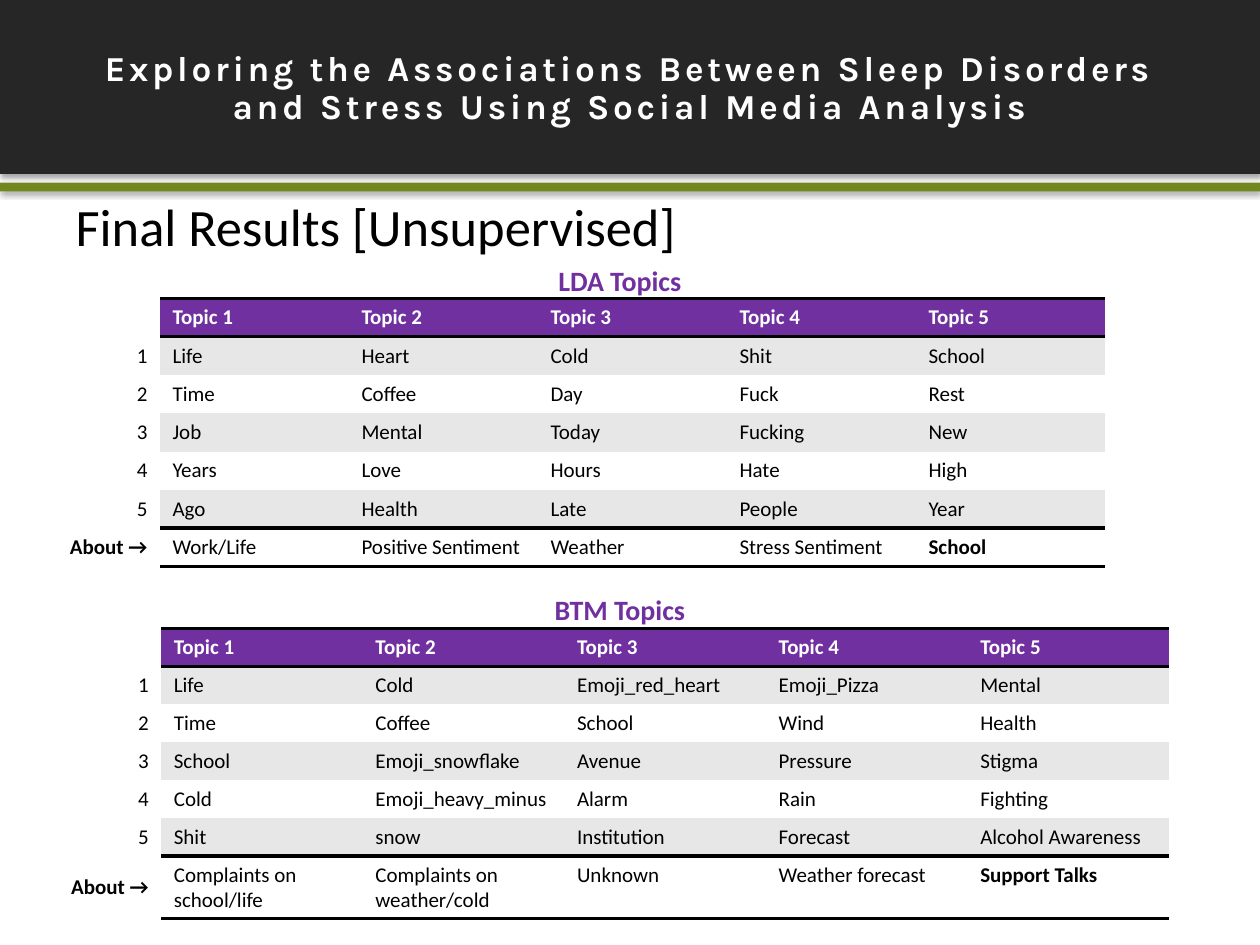
from dataclasses import dataclass

from lxml.etree import SubElement
from pptx import Presentation
from pptx.dml.color import RGBColor
from pptx.enum.shapes import MSO_SHAPE
from pptx.enum.text import MSO_ANCHOR, MSO_AUTO_SIZE, PP_ALIGN
from pptx.oxml.ns import qn
from pptx.util import Emu, Inches, Pt


@dataclass(frozen=True)
class Theme:
    """Colours, fonts and type sizes of the slide."""
    dark: str = "262626"
    green: str = "718820"
    purple: str = "7030A0"
    stripe: str = "E7E7E7"
    white: str = "FFFFFF"
    black: str = "000000"
    title_font: str = "Karla"
    text_font: str = "Calibri"
    title_size: float = 20
    heading_size: float = 30
    caption_size: float = 16
    cell_size: float = 12
    outer_rule: float = 2
    about_rule: float = 2.25


THEME = Theme()
SLIDE_WIDTH, SLIDE_HEIGHT = Inches(10), Inches(7.5)
ROW_HEIGHT = Inches(0.3)
TOPICS = [f"Topic {number}" for number in range(1, 6)]
LDA_WORDS = [
    ["Life", "Heart", "Cold", "Shit", "School"],
    ["Time", "Coffee", "Day", "Fuck", "Rest"],
    ["Job", "Mental", "Today", "Fucking", "New"],
    ["Years", "Love", "Hours", "Hate", "High"],
    ["Ago", "Health", "Late", "People", "Year"],
]
LDA_ABOUT = ["Work/Life", "Positive Sentiment", "Weather", "Stress Sentiment", "School"]
BTM_WORDS = [
    ["Life", "Cold", "Emoji_red_heart", "Emoji_Pizza", "Mental"],
    ["Time", "Coffee", "School", "Wind", "Health"],
    ["School", "Emoji_snowflake", "Avenue", "Pressure", "Stigma"],
    ["Cold", "Emoji_heavy_minus", "Alarm", "Rain", "Fighting"],
    ["Shit", "snow", "Institution", "Forecast", "Alcohol Awareness"],
]
BTM_ABOUT = ["Complaints on school/life", "Complaints on weather/cold", "Unknown",
             "Weather forecast", "Support Talks"]


def across(percent):
    """Return a share of the slide's width."""
    return Emu(round(SLIDE_WIDTH * percent / 100))


def down(percent):
    """Return a share of the slide's height."""
    return Emu(round(SLIDE_HEIGHT * percent / 100))


def area(left, top, width, height):
    """Return a box given in percent of the slide."""
    return across(left), down(top), across(width), down(height)


def write(paragraph, text, size, color, font=THEME.text_font, bold=False):
    """Add one formatted run to a paragraph."""
    run = paragraph.add_run()
    run.text = text
    run.font.name = font
    run.font.size = Pt(size)
    run.font.bold = bold
    run.font.color.rgb = RGBColor.from_string(color)
    return run


def add_band(slide, top, height, color):
    """Add a full-width shadowed band behind the title."""
    band = slide.shapes.add_shape(MSO_SHAPE.RECTANGLE, *area(0, top, 100, height))
    band.fill.solid()
    band.fill.fore_color.rgb = RGBColor.from_string(color)
    band.line.fill.background()
    band.shadow.inherit = False
    effects = band.element.spPr.find(qn("a:effectLst"))
    shadow = SubElement(effects, qn("a:outerShdw"), blurRad=str(Pt(3.1)), dist=str(Pt(1.8)),
                        dir="5400000", rotWithShape="0")
    tint = SubElement(shadow, qn("a:srgbClr"), val=THEME.black)
    SubElement(tint, qn("a:alpha"), val="35000")
    slide.shapes.title.element.addprevious(band.element)


def place(placeholder, box, anchor):
    """Move a placeholder and return its first paragraph."""
    placeholder.left, placeholder.top, placeholder.width, placeholder.height = box
    frame = placeholder.text_frame
    frame.word_wrap = True
    frame.auto_size = MSO_AUTO_SIZE.NONE
    frame.vertical_anchor = anchor
    paragraph = frame.paragraphs[0]
    paragraph.space_before = Pt(0)
    return paragraph


def fill_title(slide):
    """Write the spaced study title."""
    paragraph = place(slide.shapes.title, area(4.9, 4.67, 90.1, 9.47), MSO_ANCHOR.MIDDLE)
    paragraph.alignment = PP_ALIGN.CENTER
    paragraph.line_spacing = 0.9
    title = write(paragraph, "Exploring the Associations Between Sleep Disorders and Stress "
                  "Using Social Media Analysis", THEME.title_size, THEME.white,
                  THEME.title_font, True)
    title.font._element.set("spc", "210")


def fill_heading(slide):
    """Write the section heading without a bullet."""
    paragraph = place(slide.placeholders[1], area(5, 19.87, 85.9, 32.27), MSO_ANCHOR.TOP)
    properties = paragraph._p.get_or_add_pPr()
    properties.set("marL", "0")
    properties.set("indent", "0")
    SubElement(properties, qn("a:buNone"))
    write(paragraph, "Final Results [Unsupervised]", THEME.heading_size, THEME.black)


def add_caption(slide, top, text):
    """Add the centred caption of a topic table."""
    frame = slide.shapes.add_textbox(*area(31, top, 36.4, 4.93)).text_frame
    frame.word_wrap = True
    paragraph = frame.paragraphs[0]
    paragraph.alignment = PP_ALIGN.CENTER
    write(paragraph, text, THEME.caption_size, THEME.purple, bold=True)


def rule(cell, edge, width):
    """Draw a black rule on one edge of a cell."""
    line = SubElement(cell._tc.get_or_add_tcPr(), qn(f"a:{edge}"), w=str(Pt(width)))
    SubElement(SubElement(line, qn("a:solidFill")), qn("a:srgbClr"), val=THEME.black)


def fill_label(cell, text):
    """Write a row label, or shrink the empty corner."""
    cell.fill.background()
    cell.vertical_anchor = MSO_ANCHOR.MIDDLE
    paragraph = cell.text_frame.paragraphs[0]
    paragraph.alignment = PP_ALIGN.RIGHT
    if text:
        write(paragraph, text, THEME.cell_size, THEME.black, bold=text.startswith("About"))
    else:
        SubElement(paragraph._p, qn("a:endParaRPr"), sz=str(THEME.cell_size * 100))


def fill_topic(cell, text, back, color, bold, top=None, bottom=None):
    """Write one topic cell with its rules and fill."""
    for edge, width in (("lnT", top), ("lnB", bottom)):
        if width:
            rule(cell, edge, width)
    cell.fill.solid()
    cell.fill.fore_color.rgb = RGBColor.from_string(back)
    write(cell.text_frame.paragraphs[0], text, THEME.cell_size, color, bold=bold)


def add_topics(slide, left, top, label_width, topic_width, words, about, about_height):
    """Add a table of topic words with an About row."""
    rows = [TOPICS, *words, about]
    labels = ["", *map(str, range(1, len(words) + 1)), "About →"]
    last = len(rows) - 1
    widths = [across(label_width)] + [across(topic_width)] * len(TOPICS)
    heights = [ROW_HEIGHT] * last + [about_height]
    frame = slide.shapes.add_table(len(rows), len(widths), across(left), down(top),
                                   sum(widths), sum(heights))
    table = frame.table
    table.first_row = table.horz_banding = False
    table._tbl.tblPr.find(qn("a:tableStyleId")).text = "{2D5ABB26-0587-4C30-8999-92F81FD0307C}"
    for column, width in zip(table.columns, widths):
        column.width = width
    for index, (label, texts) in enumerate(zip(labels, rows)):
        table.rows[index].height = heights[index]
        fill_label(table.cell(index, 0), label)
        header = index == 0
        back = THEME.purple if header else THEME.stripe if index % 2 else THEME.white
        color = THEME.white if header else THEME.black
        above = {0: THEME.outer_rule, last: THEME.about_rule}.get(index)
        below = {0: THEME.outer_rule, last - 1: THEME.about_rule,
                 last: THEME.outer_rule}.get(index)
        for column, text in enumerate(texts, 1):
            bold = header or (index == last and column == len(texts))
            fill_topic(table.cell(index, column), text, back, color, bold, above, below)


def main():
    """Build and save the results slide."""
    deck = Presentation()
    deck.slide_width, deck.slide_height = SLIDE_WIDTH, SLIDE_HEIGHT
    slide = deck.slides.add_slide(deck.slide_layouts[1])
    add_band(slide, 0, 18.4, THEME.dark)
    add_band(slide, 19.33, 0.93, THEME.green)
    fill_title(slide)
    fill_heading(slide)
    add_topics(slide, 4.3, 31.6, 8.4, 15, LDA_WORDS, LDA_ABOUT, ROW_HEIGHT)
    add_caption(slide, 27.2, "LDA Topics")
    add_topics(slide, 4.2, 66.53, 8.6, 16, BTM_WORDS, BTM_ABOUT, Inches(0.5))
    add_caption(slide, 62, "BTM Topics")
    deck.save("out.pptx")


if __name__ == "__main__":
    main()
